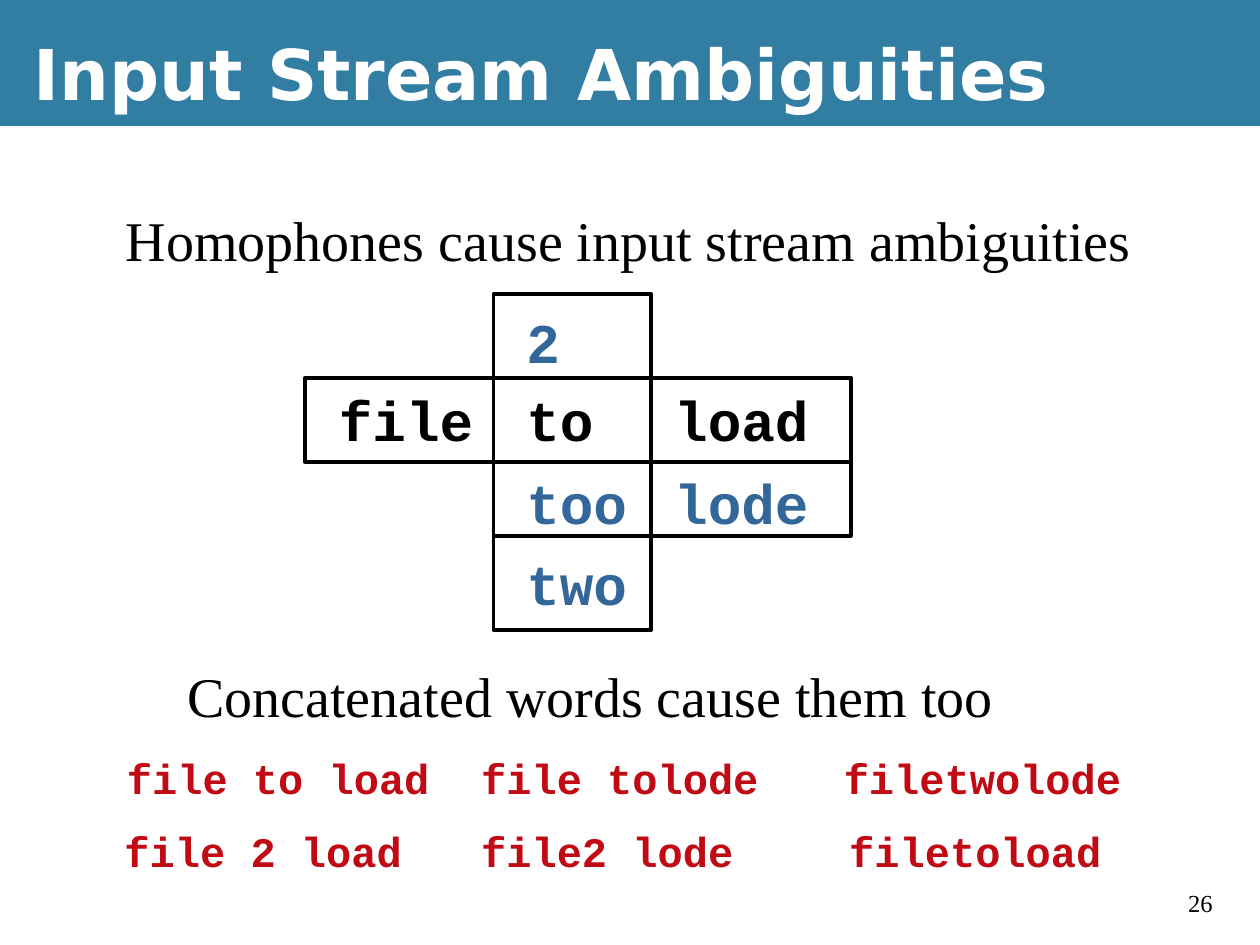
import pptx
import pptx.dml.color
import pptx.enum.shapes
import pptx.enum.text
import pptx.util

Cm = pptx.util.Cm
RGBColor = pptx.dml.color.RGBColor
MSO_ANCHOR = pptx.enum.text.MSO_ANCHOR

BLACK = RGBColor(0x00, 0x00, 0x00)
WHITE = RGBColor(0xFF, 0xFF, 0xFF)
BANNER_BLUE = RGBColor(0x32, 0x7E, 0xA3)
WORD_BLUE = RGBColor(0x33, 0x66, 0x99)
PHRASE_RED = RGBColor(0xC0, 0x0B, 0x15)

SERIF = "Times New Roman"
MONO = "Courier New"
MONO_ADVANCE = 0.6
CM_PER_POINT = 2.54 / 72
SIDE_INSETS = 0.51

presentation = pptx.Presentation()
presentation.slide_width = Cm(25.4)
presentation.slide_height = Cm(19.05)
slide = presentation.slides.add_slide(presentation.slide_layouts[6])
slide.background.fill.solid()
slide.background.fill.fore_color.rgb = BLACK


def add_text(text, left, top, width, height, size, font_name, color, bold=False, wrap=False):
    shape = slide.shapes.add_textbox(Cm(left), Cm(top), Cm(width), Cm(height))
    text_frame = shape.text_frame
    text_frame.word_wrap = wrap
    text_frame.text = text
    font = text_frame.paragraphs[0].runs[0].font
    font.size = pptx.util.Pt(size)
    font.name = font_name
    font.bold = bold
    font.color.rgb = color
    return shape


def add_rectangle(left, top, width, height, fill_color=None):
    shape = slide.shapes.add_shape(
        pptx.enum.shapes.MSO_SHAPE.RECTANGLE, Cm(left), Cm(top), Cm(width), Cm(height)
    )
    shape.shadow.inherit = False
    if fill_color is None:
        shape.fill.background()
        shape.line.color.rgb = BLACK
        shape.line.width = pptx.util.Pt(2.25)
    else:
        shape.fill.solid()
        shape.fill.fore_color.rgb = fill_color
        shape.line.fill.background()


add_rectangle(0, 2.54, 25.4, 16.51, WHITE)
add_rectangle(0, 0, 25.4, 2.54, BANNER_BLUE)

title = add_text("Input Stream Ambiguities", 0.43, 0.2, 24.77, 2.54, 40, "DejaVu Sans", WHITE, True, True)
title.text_frame.vertical_anchor = MSO_ANCHOR.MIDDLE
add_text("26", 23.7, 17.78, 1.27, 0.86, 14, SERIF, BLACK, wrap=True)
add_text("Homophones cause input stream ambiguities", 2.29, 4.01, 20.78, 1.63, 32, SERIF, BLACK)
add_text("Concatenated words cause them too", 3.53, 13.21, 16.76, 1.63, 32, SERIF, BLACK)

FIRST, SECOND, THIRD = 6.58, 10.36, 13.34
mono_texts = [
    ("file", FIRST, 7.65, 32, BLACK),
    ("to", SECOND, 7.65, 32, BLACK),
    ("load", THIRD, 7.65, 32, BLACK),
    ("2", SECOND, 6.07, 32, WORD_BLUE),
    ("too", SECOND, 9.32, 32, WORD_BLUE),
    ("two", SECOND, 10.95, 32, WORD_BLUE),
    ("lode", THIRD, 9.32, 32, WORD_BLUE),
    ("file to load", 2.31, 15.04, 24, PHRASE_RED),
    ("file 2 load", 2.26, 16.51, 24, PHRASE_RED),
    ("file tolode", 9.45, 15.04, 24, PHRASE_RED),
    ("file2 lode", 9.45, 16.51, 24, PHRASE_RED),
    ("filetwolode", 16.76, 15.04, 24, PHRASE_RED),
    ("filetoload", 16.87, 16.51, 24, PHRASE_RED),
]
for text, left, top, size, color in mono_texts:
    width = SIDE_INSETS + len(text) * MONO_ADVANCE * size * CM_PER_POINT
    height = 1.63 if size == 32 else 1.27
    add_text(text, left, top, width, height, size, MONO, color, True)

for frame in [(6.15, 7.62, 11, 1.69), (9.95, 5.93, 3.18, 6.77), (9.95, 7.62, 7.2, 3.18)]:
    add_rectangle(*frame)

presentation.save("out.pptx")
